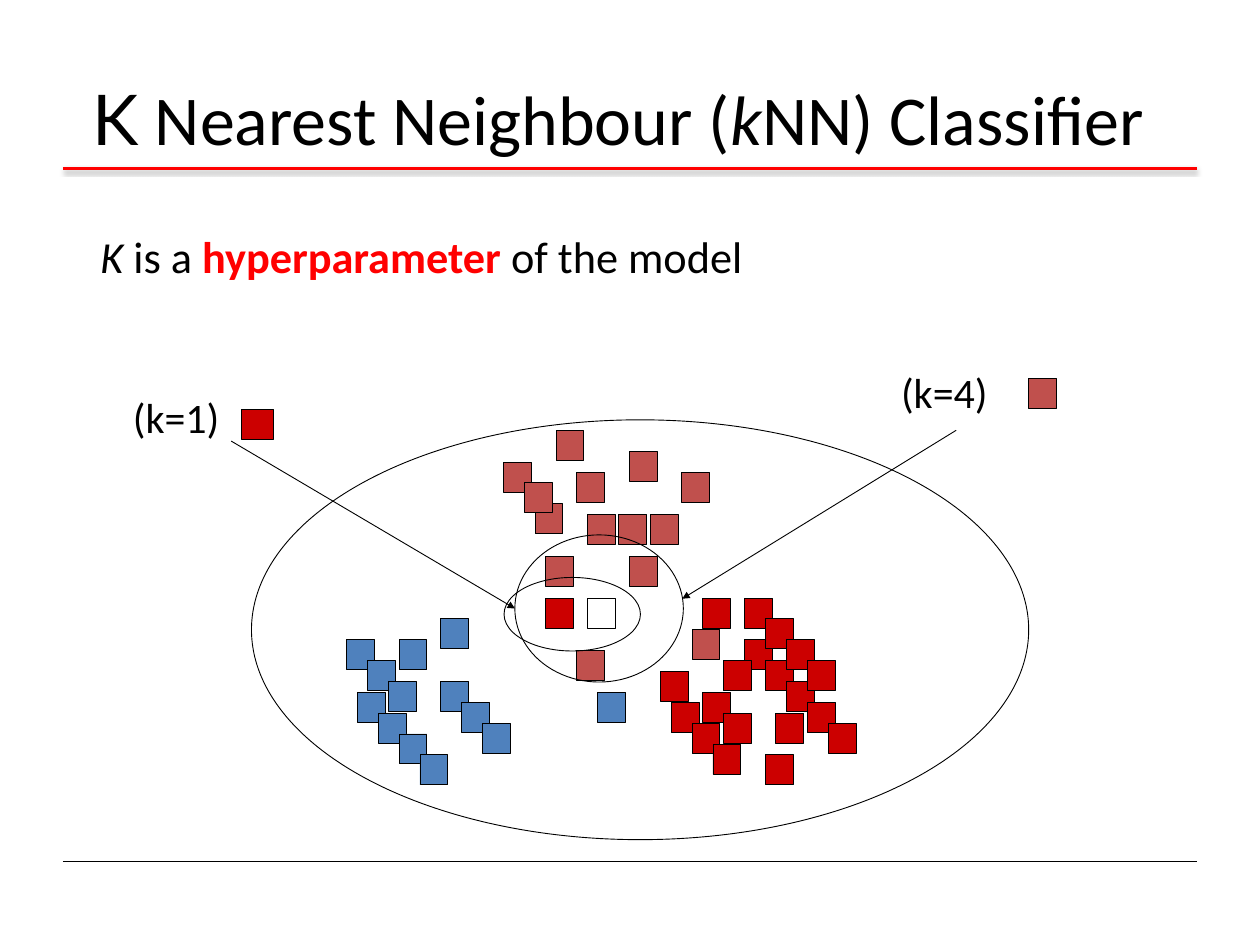
"""Build a slide on the k nearest neighbour classifier."""
import pptx
import pptx.dml.color
import pptx.enum.shapes
import pptx.enum.text
import pptx.oxml
import pptx.util

Cm, Pt = pptx.util.Cm, pptx.util.Pt
RGB = pptx.dml.color.RGBColor.from_string
SHAPE = pptx.enum.shapes.MSO_SHAPE
ALIGN = pptx.enum.text.PP_ALIGN
ANCHOR = pptx.enum.text.MSO_ANCHOR
NS = 'xmlns:a="http://schemas.openxmlformats.org/drawingml/2006/main"'

COLORS = {"black": "000000", "accent": "FF0000", "blue": "4F81BD",
          "rose": "C0504D", "red": "CC0000"}

TITLE = [("K", {"font": "Lato"}), (" Nearest Neighbour (", {}),
         ("k", {"italic": True}), ("NN) Classifier", {})]
SUBTITLE = [("K", {"italic": True}), (" is a ", {}),
            ("hyperparameter", {"bold": True, "color": "accent"}),
            (" of the model", {})]
LABELS = [("(k=1)", 3.56, 11.1, 3.02), ("(k=4)", 25.58, 10.39, 3.3)]

GRID_LEFT, GRID_TOP, STEP = 9.94, 12.35, 0.3
SQUARE = (0.8, 0.86)
SAMPLES = {
    None: [(23, 16)],
    "blue": [(0, 20), (1, 25), (9, 24), (5, 20), (2, 22), (3, 27), (11, 26),
             (9, 18), (4, 24), (5, 29), (13, 28), (24, 25), (7, 31)],
    "rose": [(29, 8), (15, 3), (20, 0), (18, 7), (17, 5), (27, 2), (19, 12),
             (32, 4), (26, 8), (22, 4), (23, 8), (22, 21), (27, 12), (33, 19)],
    "red": [(34, 16), (30, 23), (38, 20), (38, 16), (31, 26), (19, 16),
            (36, 22), (40, 22), (40, 18), (33, 28), (42, 24), (34, 25),
            (41, 27), (42, 20), (35, 30), (36, 27), (44, 26), (44, 22),
            (40, 31), (46, 28)],
}
RESULTS = [("red", 6.93, 11.73, 0.91, 0.86), ("rose", 29.49, 10.85, *SQUARE)]
SPACE = (7.21, 12.04, 22.28, 12.04)
NEIGHBOURHOODS = [(14.45, 16.56, 3.91, 2.11), (14.76, 15.34, 4.83, 4.22)]
ARROWS = [(6.63, 12.65, 14.76, 17.45), (27.41, 12.34, 19.56, 17.17)]
RULE_LEFT, RULE_RIGHT, HEADER_Y, FOOTER_Y = 1.8, 34.32, 4.83, 24.69


def add_text(s, runs, left, top, width, height, size=36, align=ALIGN.LEFT,
             anchor=ANCHOR.TOP, wrap=False):
    tf = s.shapes.add_textbox(Cm(left), Cm(top), Cm(width), Cm(height)).text_frame
    tf.word_wrap = wrap
    tf.vertical_anchor = anchor
    p = tf.paragraphs[0]
    p.alignment = align
    for text, style in runs:
        r = p.add_run()
        r.text = text
        r.font.size = Pt(size)
        r.font.name = style.get("font", "Calibri")
        r.font.bold = style.get("bold", False)
        r.font.italic = style.get("italic", False)
        r.font.color.rgb = RGB(COLORS[style.get("color", "black")])


def add_outline(s, kind, left, top, width, height, fill=None):
    sp = s.shapes.add_shape(kind, Cm(left), Cm(top), Cm(width), Cm(height))
    sp.shadow.inherit = False
    if fill:
        sp.fill.solid()
        sp.fill.fore_color.rgb = RGB(COLORS[fill])
    else:
        sp.fill.background()
    sp.line.color.rgb = RGB(COLORS["black"])
    sp.line.width = Pt(0.75)


def add_line(s, x1, y1, x2, y2, color="black", width=0.75, arrow=False, shadow=False):
    line = s.shapes.add_connector(pptx.enum.shapes.MSO_CONNECTOR.STRAIGHT,
                                  Cm(x1), Cm(y1), Cm(x2), Cm(y2))
    line.line.color.rgb = RGB(COLORS[color])
    line.line.width = Pt(width)
    if arrow:
        line.line._get_or_add_ln().append(
            pptx.oxml.parse_xml(f'<a:tailEnd {NS} type="triangle"/>'))
    effect = (f'<a:outerShdw blurRad="{Pt(3.1)}" dist="{Pt(1.8)}" dir="5400000" '
              'rotWithShape="0"><a:srgbClr val="000000"><a:alpha val="35000"/>'
              '</a:srgbClr></a:outerShdw>') if shadow else ""
    line._element.spPr.append(
        pptx.oxml.parse_xml(f"<a:effectLst {NS}>{effect}</a:effectLst>"))


def main():
    prs = pptx.Presentation()
    prs.slide_width, prs.slide_height = Cm(36.12), Cm(27.1)
    s = prs.slides.add_slide(prs.slide_layouts[6])

    add_line(s, RULE_LEFT, HEADER_Y, RULE_RIGHT, HEADER_Y, "accent", 3, shadow=True)
    add_line(s, RULE_LEFT, FOOTER_Y, RULE_RIGHT, FOOTER_Y)
    add_text(s, TITLE, 2.41, 1.12, 32.82, 4.52, size=56.9,
             anchor=ANCHOR.MIDDLE, wrap=True)
    add_text(s, SUBTITLE, 2.49, 6.45, 19.18, 1.8, align=ALIGN.CENTER)

    add_outline(s, SHAPE.OVAL, *SPACE)
    for fill, cells in SAMPLES.items():
        for col, row in cells:
            add_outline(s, SHAPE.RECTANGLE, GRID_LEFT + col * STEP,
                        GRID_TOP + row * STEP, *SQUARE, fill=fill)
    for fill, *box in RESULTS:
        add_outline(s, SHAPE.RECTANGLE, *box, fill=fill)
    for box in NEIGHBOURHOODS:
        add_outline(s, SHAPE.OVAL, *box)
    for ends in ARROWS:
        add_line(s, *ends, arrow=True)
    for text, left, top, width in LABELS:
        add_text(s, [(text, {})], left, top, width, 1.72, size=34.1)

    prs.save("out.pptx")


if __name__ == "__main__":
    main()
